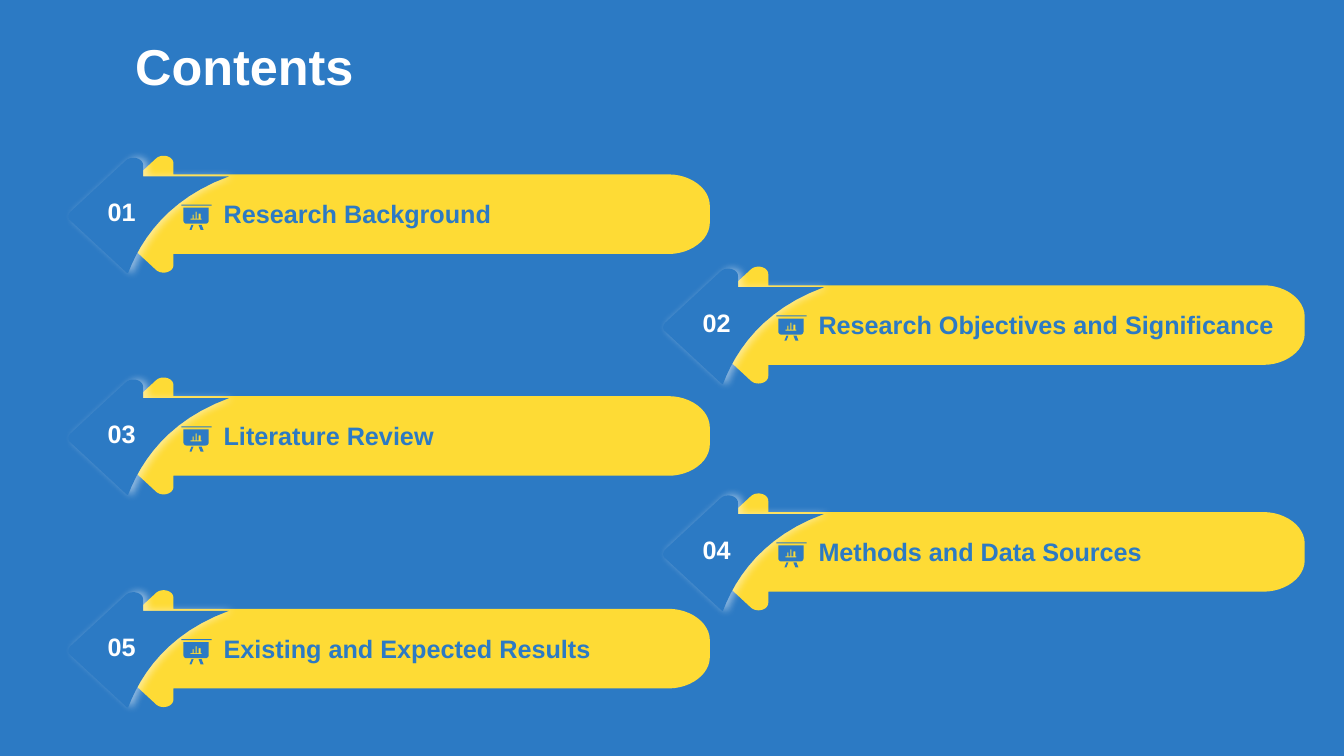
from lxml import etree
from pptx import Presentation
from pptx.dml.color import RGBColor
from pptx.enum.text import MSO_ANCHOR, MSO_AUTO_SIZE, PP_ALIGN
from pptx.oxml import parse_xml
from pptx.oxml.ns import nsdecls
from pptx.util import Inches, Pt

LEFT = PP_ALIGN.LEFT
TOP = MSO_ANCHOR.TOP
MIDDLE = MSO_ANCHOR.MIDDLE
NO_FIT = MSO_AUTO_SIZE.NONE

COLORS = {"blue": "2C7AC4", "yellow": "FEDB35", "white": "FFFFFF"}
FONT = "Arial"
TITLE_ONLY = 5
CURVE_STEPS = 12

# Pairs are straight points; six numbers are a cubic curve.
ARROW = [
    (0.75, 0.21), (0.75, 0.1),
    (0.75, 0.03, 0.64, 0, 0.58, 0.05), (0.03, 0.56),
    (0, 0.59, 0, 0.63, 0.03, 0.65), (0.58, 1.16),
]
BANNER = [(5.66, 0.21), *ARROW,
          (0.64, 1.21, 0.75, 1.18, 0.75, 1.11), (0.75, 1), (5.66, 1),
          (5.88, 1, 6.07, 0.86, 6.07, 0.69), (6.07, 0.52),
          (6.07, 0.35, 5.88, 0.21, 5.66, 0.21)]
NUMBER_TAG = [(1.6, 0.21), *ARROW,
              (0.58, 1.16, 0.59, 1.17, 0.6, 1.17),
              (0.73, 0.83, 1, 0.43, 1.6, 0.21)]
BOARD_ICON = [
    [(0.17, 0.2), (0.2, 0.2), (0.22, 0.25), (0.19, 0.25)],
    [(0.1, 0.2), (0.12, 0.2), (0.1, 0.25), (0.08, 0.25)],
    [(0.15, 0.07), (0.14, 0.07), (0.14, 0.14), (0.12, 0.14), (0.12, 0.1),
     (0.11, 0.1), (0.11, 0.14), (0.09, 0.14), (0.09, 0.15), (0.2, 0.15),
     (0.2, 0.14), (0.19, 0.14), (0.19, 0.09), (0.17, 0.09), (0.17, 0.14),
     (0.15, 0.14)],
    [(0.02, 0.03), (0.27, 0.03), (0.27, 0.16),
     (0.27, 0.17, 0.26, 0.19, 0.24, 0.19), (0.05, 0.19),
     (0.03, 0.19, 0.02, 0.17, 0.02, 0.16)],
    [(0, 0), (0.3, 0), (0.3, 0.01), (0, 0.01)],
]

LEFT_COLUMN, RIGHT_COLUMN = 0.97, 6.87
ENTRIES = [
    ("Research Background", LEFT_COLUMN, 1.52),
    ("Research Objectives and Significance", RIGHT_COLUMN, 2.62),
    ("Literature Review", LEFT_COLUMN, 3.72),
    ("Methods and Data Sources", RIGHT_COLUMN, 4.87),
    ("Existing and Expected Results", LEFT_COLUMN, 5.83),
]


def flatten(outline):
    points = [outline[0]]
    for segment in outline[1:]:
        if len(segment) == 2:
            points.append(segment)
            continue
        controls = [points[-1], segment[:2], segment[2:4], segment[4:]]
        for step in range(1, CURVE_STEPS + 1):
            t = step / CURVE_STEPS
            weights = ((1 - t) ** 3, 3 * t * (1 - t) ** 2,
                       3 * t ** 2 * (1 - t), t ** 3)
            points.append(tuple(
                sum(weight * control[axis]
                    for weight, control in zip(weights, controls))
                for axis in (0, 1)))
    return points


class ContentsSlide:
    def __init__(self, presentation):
        layout = presentation.slide_layouts[TITLE_ONLY]
        self.slide = presentation.slides.add_slide(layout)
        self.shapes = self.slide.shapes
        background = self.slide.background.fill
        background.solid()
        background.fore_color.rgb = self.color("blue")

    def color(self, name):
        return RGBColor.from_string(COLORS[name])

    def format_text(self, shape, text, size, color, anchor):
        frame = shape.text_frame
        frame.text = text
        frame.word_wrap = True
        frame.auto_size = NO_FIT
        frame.vertical_anchor = anchor
        paragraph = frame.paragraphs[0]
        paragraph.alignment = LEFT
        paragraph.font.name = FONT
        paragraph.font.size = Pt(size)
        paragraph.font.bold = True
        paragraph.font.color.rgb = self.color(color)
        return frame

    def title(self, text, left, top, width, height):
        shape = self.shapes.title
        shape.left, shape.top = Inches(left), Inches(top)
        shape.width, shape.height = Inches(width), Inches(height)
        self.format_text(shape, text, 36, "white", MIDDLE)

    def label(self, shapes, text, left, top, width, height, color):
        shape = shapes.add_textbox(Inches(left), Inches(top),
                                   Inches(width), Inches(height))
        frame = self.format_text(shape, text, 18, color, TOP)
        frame.margin_left = frame.margin_right = Inches(0.1)
        frame.margin_top = frame.margin_bottom = Inches(0.1)

    def outline(self, shapes, contours, left, top, color):
        builder = None
        for contour in contours:
            points = [(Inches(left + x), Inches(top + y))
                      for x, y in flatten(contour)]
            if builder is None:
                builder = shapes.build_freeform(*points[0])
            else:
                builder.move_to(*points[0])
            builder.add_line_segments(points[1:], close=True)
        shape = builder.convert_to_shape()
        shape.shadow.inherit = False
        shape.fill.solid()
        shape.fill.fore_color.rgb = self.color(color)
        shape.line.fill.background()
        return shape

    def glow_shadow(self, shape):
        effects = shape._element.spPr.find(
            "{http://schemas.openxmlformats.org/drawingml/2006/main}effectLst")
        shadow = parse_xml(
            f'<a:outerShdw {nsdecls("a")} blurRad="{Pt(6)}" dist="{Pt(3)}" '
            'dir="0" algn="l" rotWithShape="0"/>')
        color = etree.SubElement(shadow, shadow.tag.replace("outerShdw", "srgbClr"),
                                 val=COLORS["white"])
        etree.SubElement(color, shadow.tag.replace("outerShdw", "alpha"), val="50000")
        effects.append(shadow)

    def entry(self, number, heading, left, top):
        shapes = self.shapes.add_group_shape().shapes
        self.outline(shapes, [BANNER], left, top, "yellow")
        tag = self.outline(shapes, [NUMBER_TAG], left - 0.3, top + 0.02, "blue")
        self.glow_shadow(tag)
        self.label(shapes, heading, left + 1.15, top + 0.35, 5.06, 0.47, "blue")
        self.outline(shapes, BOARD_ICON, left + 0.83, top + 0.51, "blue")
        self.label(shapes, f"{number:02d}", left, top + 0.33, 0.86, 0.26, "white")


def main():
    presentation = Presentation()
    presentation.slide_width = Inches(13.33)
    presentation.slide_height = Inches(7.5)
    contents = ContentsSlide(presentation)
    contents.title("Contents", 1.24, 0.28, 4.31, 0.74)
    for number, (heading, left, top) in enumerate(ENTRIES, start=1):
        contents.entry(number, heading, left, top)
    presentation.save("out.pptx")


if __name__ == "__main__":
    main()
